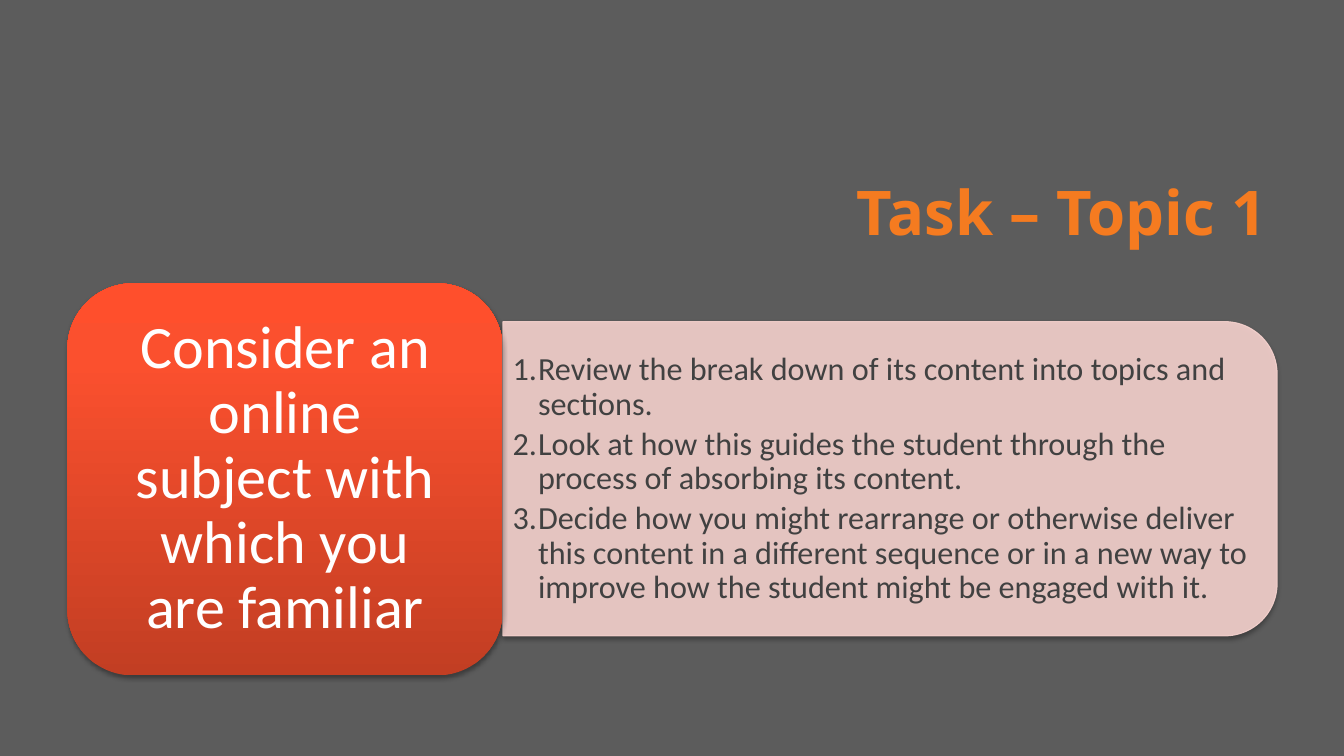
"""Build the task slide: a title, a prompt card and a numbered list panel."""
from copy import deepcopy
from lxml import etree
from pptx import Presentation
from pptx.dml.color import RGBColor
from pptx.enum.shapes import MSO_SHAPE
from pptx.enum.text import MSO_ANCHOR, PP_ALIGN
from pptx.util import Cm, Pt

ROUND = MSO_SHAPE.ROUNDED_RECTANGLE
TAB = MSO_SHAPE.ROUND_2_SAME_RECTANGLE
MIDDLE = MSO_ANCHOR.MIDDLE
CENTER = PP_ALIGN.CENTER
RIGHT = PP_ALIGN.RIGHT
NS = "http://schemas.openxmlformats.org/drawingml/2006/main"
INK = "414141"
PINK = "F7D3CF"
STEPS = [
    "Review the break down of its content into topics and sections.",
    "Look at how this guides the student through the process of absorbing its content.",
    "Decide how you might rearrange or otherwise deliver this content in a different "
    "sequence or in a new way to improve how the student might be engaged with it.",
]
STOPS = [(0, "C23E23"), (0.8, "FB502E"), (1, "FF4F2C")]
SHADE = (
    f'<a:effectLst xmlns:a="{NS}"><a:outerShdw blurRad="39400" dist="22900" dir="5400000" '
    'rotWithShape="0"><a:srgbClr val="000000"><a:alpha val="35000"/></a:srgbClr>'
    '</a:outerShdw></a:effectLst>'
)


def hue(code):
    return RGBColor.from_string(code)


def style(para, face, size, code):
    font = para.runs[0].font
    font.name = face
    font.size = Pt(size)
    font.color.rgb = hue(code)
    return font


deck = Presentation()
deck.slide_width = Cm(33.87)
deck.slide_height = Cm(19.05)
slide = deck.slides.add_slide(deck.slide_layouts[5])
slide.background.fill.solid()
slide.background.fill.fore_color.rgb = hue("5C5C5C")

title = slide.shapes.title
title.left, title.top, title.width, title.height = Cm(1.7), Cm(3.73), Cm(30.48), Cm(3.18)
title.text_frame.text = "Task – Topic 1"
title.text_frame.vertical_anchor = MIDDLE
head = title.text_frame.paragraphs[0]
head.alignment = RIGHT
font = style(head, "Open Sans", 44, "F57B20")
font.bold = True
edge = etree.fromstring(
    f'<a:ln xmlns:a="{NS}" w="9525"><a:solidFill><a:srgbClr val="{INK}"/></a:solidFill></a:ln>')
head.runs[0]._r.get_or_add_rPr().insert(0, edge)

panel = slide.shapes.add_shape(TAB, Cm(18.47), Cm(2.31), Cm(7.92), Cm(19.51))
panel.rotation = 90
panel.fill.solid()
panel.fill.fore_color.rgb = hue(PINK)
panel.line.color.rgb = hue(PINK)
panel.line.width = Pt(0.75)
for tint in panel._element.spPr.iter(f"{{{NS}}}srgbClr"):
    etree.SubElement(tint, f"{{{NS}}}alpha", val="90000")

box = slide.shapes.add_textbox(Cm(12.67), Cm(8.51), Cm(19.13), Cm(7.14))
frame = box.text_frame
frame.word_wrap = True
frame.vertical_anchor = MIDDLE
frame.text = "\n".join(STEPS)
for para in frame.paragraphs:
    para.line_spacing = 0.9
    style(para, "Calibri", 23, INK)
    props = para._p.get_or_add_pPr()
    props.set("marL", str(Cm(0.64)))
    props.set("indent", str(-Cm(0.64)))
    after = etree.SubElement(props, f"{{{NS}}}spcAft")
    etree.SubElement(after, f"{{{NS}}}spcPct", val="15000")
    etree.SubElement(props, f"{{{NS}}}buAutoNum", type="arabicPeriod")

card = slide.shapes.add_shape(ROUND, Cm(1.7), Cm(7.14), Cm(10.97), Cm(9.88))
card.line.fill.background()
card.fill.gradient()
card.fill.gradient_angle = 90
ramp = card._element.spPr.find(f".//{{{NS}}}gsLst")
ramp.append(deepcopy(ramp[-1]))
for stop, (place, code) in zip(card.fill.gradient_stops, STOPS):
    stop.position = place
    stop.color.rgb = hue(code)
frame = card.text_frame
frame.word_wrap = True
frame.vertical_anchor = MIDDLE
frame.margin_left = frame.margin_right = Cm(0.94)
frame.margin_top = frame.margin_bottom = Cm(0.71)
frame.text = "Consider an online subject with which you are familiar"
prompt = frame.paragraphs[0]
prompt.alignment = CENTER
prompt.line_spacing = 0.9
style(prompt, "Calibri", 43, "FFFFFF")

for shape in (panel, card):
    shape._element.spPr.append(etree.fromstring(SHADE))

deck.save("out.pptx")
